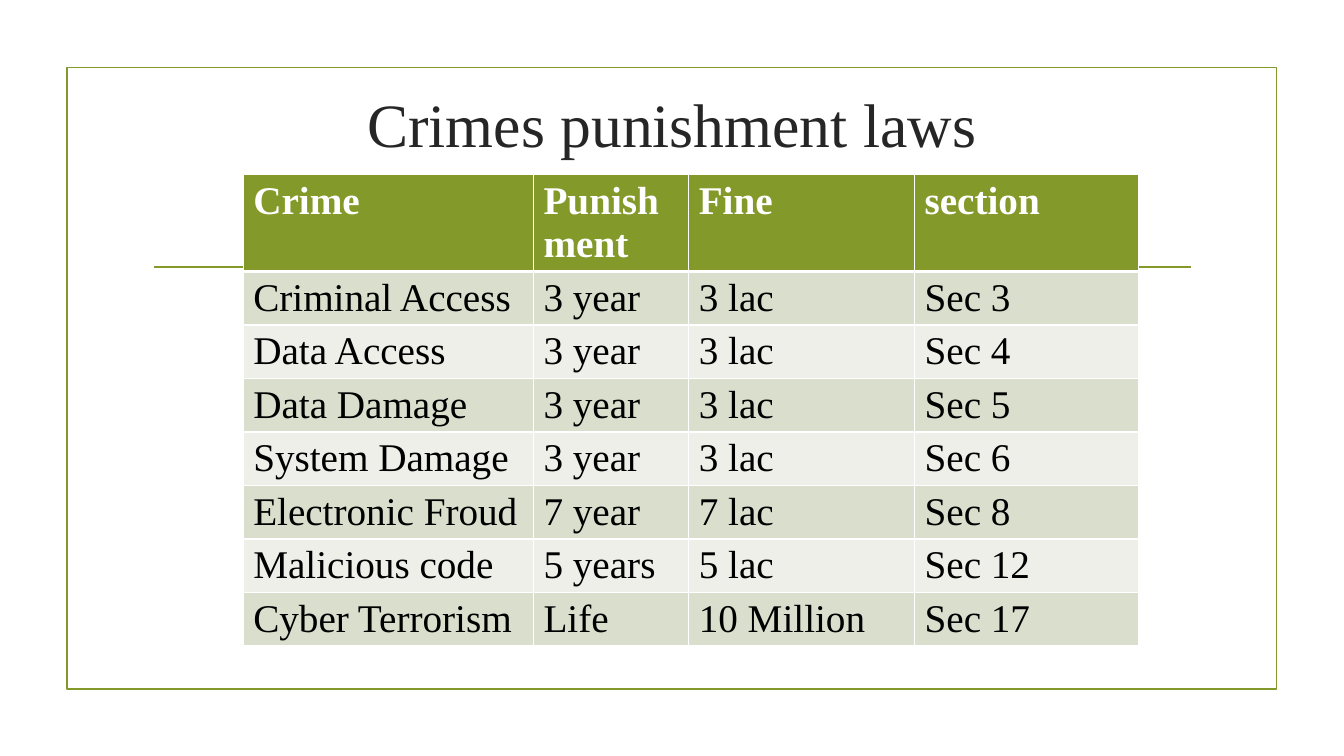
"""Build the slide listing punishments, fines and law sections for computer crimes."""
from dataclasses import astuple, dataclass

import lxml.etree
import pptx
import pptx.dml.color
import pptx.enum.shapes
import pptx.enum.text
import pptx.oxml.ns
import pptx.util

Pt = pptx.util.Pt
RGBColor = pptx.dml.color.RGBColor
qn = pptx.oxml.ns.qn

OLIVE = RGBColor(0x83, 0x99, 0x2A)
CHARCOAL = RGBColor(0x26, 0x26, 0x26)
BLACK = RGBColor(0x00, 0x00, 0x00)
WHITE = RGBColor(0xFF, 0xFF, 0xFF)
BAND_COLORS = (RGBColor(0xED, 0xEF, 0xE8), RGBColor(0xD9, 0xDE, 0xCD))

FONT = "Times New Roman"
TITLE_SIZE = 44
TABLE_SIZE = 28
RULE_WIDTH = 1.25
TABLE_LEFT, TABLE_TOP = 173.7, 124.7
COLUMN_WIDTHS = (207.4, 110.9, 161.3, 159.8)
HEADER_HEIGHT, ROW_HEIGHT = 68, 38.2


@dataclass(frozen=True)
class Law:
    crime: str
    punishment: str
    fine: str
    section: str


HEADER = Law("Crime", "Punishment", "Fine", "section")
LAWS = (
    Law("Criminal Access", "3 year", "3 lac", "Sec 3"),
    Law("Data Access", "3 year", "3 lac", "Sec 4"),
    Law("Data Damage", "3 year", "3 lac", "Sec 5"),
    Law("System Damage", "3 year", "3 lac", "Sec 6"),
    Law("Electronic Froud", "7 year", "7 lac", "Sec 8"),
    Law("Malicious code", "5 years", "5 lac", "Sec 12"),
    Law("Cyber Terrorism", "Life", "10 Million", "Sec 17"),
)


def add_text(paragraph, text: str, size: float, color: RGBColor, bold: bool = False) -> None:
    run = paragraph.add_run()
    run.text = text
    run.font.name = FONT
    run.font.size = Pt(size)
    run.font.bold = bold
    run.font.color.rgb = color


def add_title(slide) -> None:
    title = slide.shapes.title
    title.left, title.top, title.width, title.height = Pt(102.2), Pt(55.4), Pt(756), Pt(64.8)
    title.text_frame.vertical_anchor = pptx.enum.text.MSO_ANCHOR.MIDDLE
    paragraph = title.text_frame.paragraphs[0]
    paragraph.alignment = pptx.enum.text.PP_ALIGN.CENTER
    add_text(paragraph, "Crimes punishment laws", TITLE_SIZE, CHARCOAL)


def add_frame(slide) -> None:
    frame = slide.shapes.add_shape(
        pptx.enum.shapes.MSO_SHAPE.RECTANGLE, Pt(47.8), Pt(48.2), Pt(864), Pt(444)
    )
    frame.shadow.inherit = False
    frame.fill.background()
    frame.line.color.rgb = OLIVE
    frame.line.width = Pt(RULE_WIDTH)


def add_rule(slide) -> None:
    rule = slide.shapes.add_connector(
        pptx.enum.shapes.MSO_CONNECTOR.STRAIGHT, Pt(110), Pt(190.8), Pt(850.4), Pt(190.8)
    )
    rule.line.color.rgb = OLIVE
    rule.line.width = Pt(RULE_WIDTH)
    lxml.etree.SubElement(rule._element.spPr, qn("a:effectLst"))


def set_borders(cell, top: float, bottom: float) -> None:
    properties = cell._tc.get_or_add_tcPr()
    widths = {"a:lnL": 1, "a:lnR": 1, "a:lnT": top, "a:lnB": bottom}
    for position, (tag, width) in enumerate(widths.items()):
        border = lxml.etree.Element(qn(tag), w=str(Pt(width)))
        fill = lxml.etree.SubElement(border, qn("a:solidFill"))
        lxml.etree.SubElement(fill, qn("a:srgbClr"), val=str(WHITE))
        properties.insert(position, border)


def add_law_table(slide) -> None:
    heights = [HEADER_HEIGHT] + [ROW_HEIGHT] * len(LAWS)
    table = slide.shapes.add_table(
        len(heights), len(COLUMN_WIDTHS), Pt(TABLE_LEFT), Pt(TABLE_TOP),
        Pt(sum(COLUMN_WIDTHS)), Pt(sum(heights)),
    ).table
    for column, width in zip(table.columns, COLUMN_WIDTHS):
        column.width = Pt(width)
    for row_index, (law, height) in enumerate(zip((HEADER, *LAWS), heights)):
        table.rows[row_index].height = Pt(height)
        is_header = row_index == 0
        for column_index, text in enumerate(astuple(law)):
            cell = table.cell(row_index, column_index)
            cell.fill.solid()
            cell.fill.fore_color.rgb = OLIVE if is_header else BAND_COLORS[row_index % 2]
            set_borders(cell, 3 if row_index == 1 else 1, 3 if is_header else 1)
            color = WHITE if is_header else BLACK
            add_text(cell.text_frame.paragraphs[0], text, TABLE_SIZE, color, is_header)


def main() -> None:
    presentation = pptx.Presentation()
    presentation.slide_width, presentation.slide_height = Pt(960), Pt(540)
    slide = presentation.slides.add_slide(presentation.slide_layouts.get_by_name("Title Only"))
    add_frame(slide)
    add_rule(slide)
    add_title(slide)
    add_law_table(slide)
    presentation.save("out.pptx")


if __name__ == "__main__":
    main()
